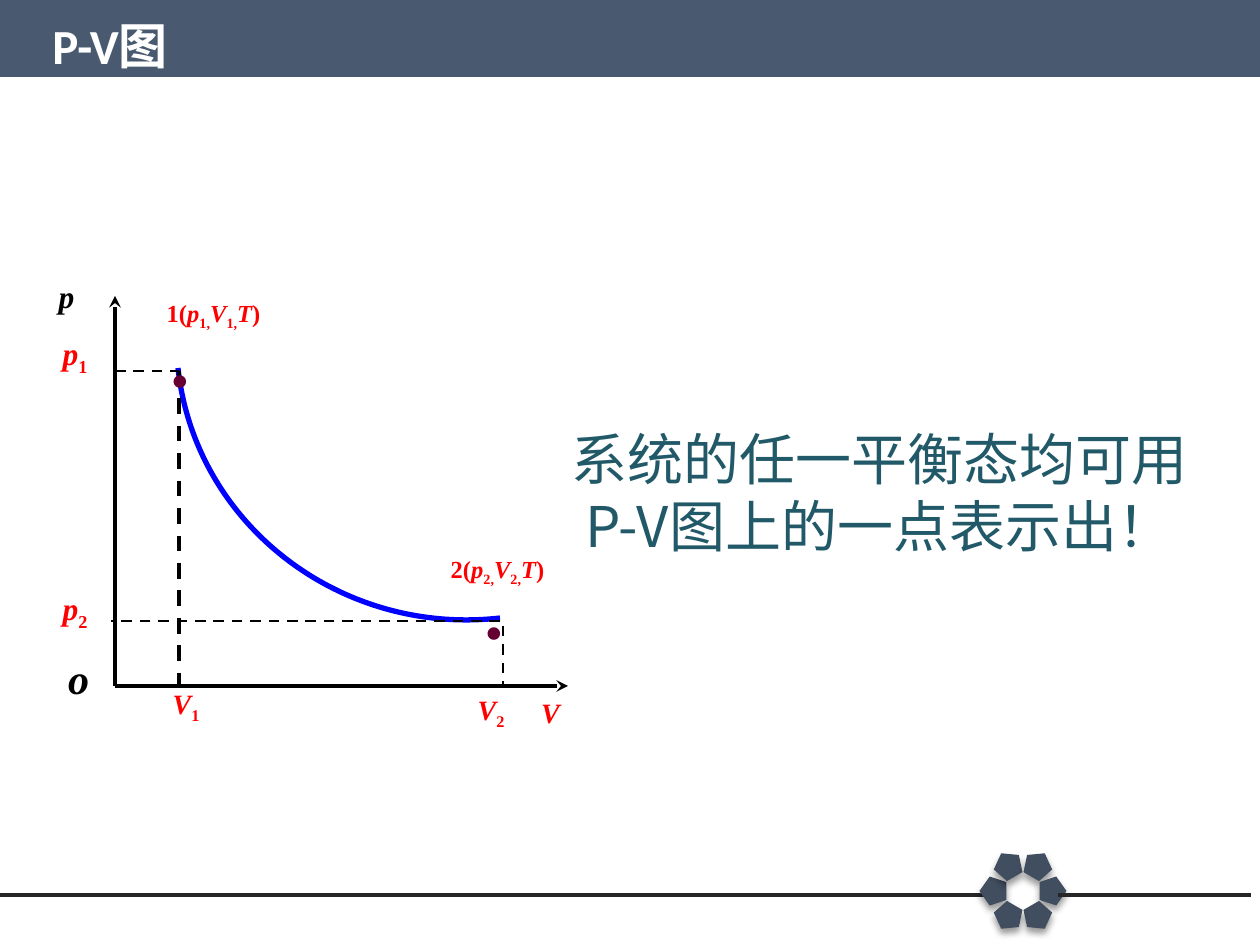
from dataclasses import dataclass
from math import cos, radians, sin

from lxml.etree import SubElement
from pptx import Presentation
from pptx.dml.color import RGBColor
from pptx.enum.dml import MSO_LINE
from pptx.enum.shapes import MSO_CONNECTOR, MSO_SHAPE
from pptx.enum.text import MSO_ANCHOR, PP_ALIGN
from pptx.oxml.ns import qn
from pptx.util import Emu, Pt

PX = 914400 / 126


@dataclass(frozen=True)
class Theme:
    """Colours, fonts and type sizes of the slide."""
    band: str = "495A70"
    badge: str = "414E5F"
    rule: str = "262626"
    black: str = "000000"
    white: str = "FFFFFF"
    red: str = "FF0000"
    curve: str = "0000FF"
    dot: str = "660033"
    body: str = "215968"
    serif: str = "Times New Roman"
    sans: str = "Calibri"
    cjk: str = "Noto Sans CJK SC"
    title_size: int = 28
    body_size: int = 32
    origin_size: int = 24
    p_size: int = 18
    v_size: int = 16
    state_size: int = 14
    dot_size: int = 44


T = Theme()


def px(n):
    """Turn px into EMU."""
    return Emu(round(n * PX))


def rgb(value):
    """Turn a hex string into a colour."""
    return RGBColor.from_string(value)


def add_text(s, text, box, size, color, font=T.serif, ea=None, bold=True,
             align=PP_ALIGN.CENTER, wrap=False):
    """Add a text box; text is a string or (text, style) runs, style being i, sub or empty."""
    tf = s.shapes.add_textbox(*map(px, box)).text_frame
    tf.word_wrap = wrap
    tf.vertical_anchor = MSO_ANCHOR.MIDDLE
    p = tf.paragraphs[0]
    p.alignment = align
    for part, style in [(text, "")] if isinstance(text, str) else text:
        r = p.add_run()
        r.text = part
        r.font.size = Pt(size)
        r.font.name = font
        r.font.bold = bold
        r.font.italic = style == "i"
        r.font.color.rgb = rgb(color)
        rPr = r.font._element
        SubElement(rPr, qn("a:ea"), typeface=ea or font)
        if style == "sub":
            rPr.set("baseline", "-25000")


def add_line(s, start, end, color=T.black, width=1.5, dash=False, arrow=False):
    """Add a straight line, dashed or with an arrowhead at its end."""
    c = s.shapes.add_connector(MSO_CONNECTOR.STRAIGHT, *map(px, (*start, *end)))
    c.line.color.rgb = rgb(color)
    c.line.width = Pt(width)
    if dash:
        c.line.dash_style = MSO_LINE.DASH
    if arrow:
        SubElement(c.line._get_or_add_ln(), qn("a:tailEnd"), type="stealth")
    SubElement(c._element.spPr, qn("a:effectLst"))


def add_filled(shapes, kind, box, color):
    """Add a preset shape with a plain fill and no line."""
    sp = shapes.add_shape(kind, *map(px, box))
    sp.shadow.inherit = False
    sp.fill.solid()
    sp.fill.fore_color.rgb = rgb(color)
    sp.line.fill.background()
    return sp


def add_shadow(sp):
    """Give a shape a soft shadow below it."""
    effects = sp._element.spPr.find(qn("a:effectLst"))
    shadow = SubElement(effects, qn("a:outerShdw"), blurRad=str(Pt(4)),
                        dist=str(Pt(3)), dir="5400000", rotWithShape="0")
    color = SubElement(shadow, qn("a:srgbClr"), val=T.black)
    SubElement(color, qn("a:alpha"), val="40000")


def add_badge(s, cx, cy, radius, w, h):
    """Add a ring of six pentagons that point outwards."""
    shapes = s.shapes.add_group_shape().shapes
    for angle in range(180, 540, 60):
        x = cx + radius * cos(radians(angle))
        y = cy + radius * sin(radians(angle))
        sp = add_filled(shapes, MSO_SHAPE.REGULAR_PENTAGON,
                        (x - w / 2, y - h / 2, w, h), T.badge)
        sp.rotation = (angle + 90) % 360
        add_shadow(sp)


def add_curve(s, start, *controls):
    """Add an open cubic curve from start through two controls to its end."""
    fb = s.shapes.build_freeform(*start, scale=PX)
    fb.add_line_segments(controls, close=False)
    sp = fb.convert_to_shape()
    sp.shadow.inherit = False
    sp.fill.background()
    sp.line.color.rgb = rgb(T.curve)
    sp.line.width = Pt(3)
    outline = next(sp._element.iter(qn("a:moveTo"))).getparent()
    cubic = SubElement(outline, qn("a:cubicBezTo"))
    for segment in outline.findall(qn("a:lnTo")):
        cubic.append(segment[0])
        outline.remove(segment)


def add_state(s, n, label_at, dot_at):
    """Add the dot of a state and its label."""
    sub = (f"{n},", "sub")
    label = [(f"{n}(", ""), ("p", "i"), sub, ("V", "i"), sub, ("T", "i"), (")", "")]
    add_text(s, label, (*label_at, 155, 49), T.state_size, T.red)
    add_text(s, "·", (*dot_at, 57, 123), T.dot_size, T.dot)


def add_diagram(s):
    """Add the p-V diagram with its axes, curve, guides and labels."""
    x0, y0, x1, y1, x2, y2 = 115, 686, 179, 371, 503, 621
    add_curve(s, (178, 368), (195, 524), (340, 636), (500, 618))
    for end in ((568, y0), (x0, 296)):
        add_line(s, (x0, y0), end, width=2.25, arrow=True)
    add_line(s, (x1, y1), (x1, y0), width=2.25, dash=True)
    add_line(s, (x0, y1), (x1, y1), dash=True)
    add_line(s, (x2, 626), (x2, y0), dash=True)
    add_state(s, 2, (420, 546), (466, 567))
    add_state(s, 1, (136, 290), (152, 315))
    add_line(s, (500, y2), (111, y2), dash=True)
    add_text(s, [("o", "i")], (49, 641, 59, 74), T.origin_size, T.black)
    add_text(s, [("p", "i")], (40, 266, 53, 59), T.p_size, T.black)
    add_text(s, [("V", "i")], (522, 685, 57, 54), T.v_size, T.red)
    for n, p_top, v_at in (("1", 326, (152, 679)), ("2", 581, (457, 685))):
        add_text(s, [("p", "i"), (n, "sub")], (42, p_top, 66, 59), T.p_size, T.red)
        add_text(s, [("V", "i"), (n, "sub")], (*v_at, 68, 54), T.v_size, T.red)


def main():
    """Build and save the slide."""
    prs = Presentation()
    prs.slide_width, prs.slide_height = px(1260), px(945)
    s = prs.slides.add_slide(prs.slide_layouts[6])
    add_filled(s.shapes, MSO_SHAPE.RECTANGLE, (0, 0, 1260, 77), T.band)
    add_line(s, (0, 895), (984, 895), T.rule, 1.75)
    add_badge(s, 1023, 891, 30, 29, 27)
    add_line(s, (1058, 895), (1251, 895), T.rule, 1.75)
    add_diagram(s)
    add_text(s, "系统的任一平衡态均可用P-V图上的一点表示出！", (538, 417, 683, 149),
             T.body_size, T.body, font=T.cjk, bold=False, wrap=True)
    add_text(s, "P-V图", (40, 9, 179, 72), T.title_size, T.white, font=T.sans,
             ea=T.cjk, align=PP_ALIGN.LEFT, wrap=True)
    prs.save("out.pptx")


if __name__ == "__main__":
    main()
